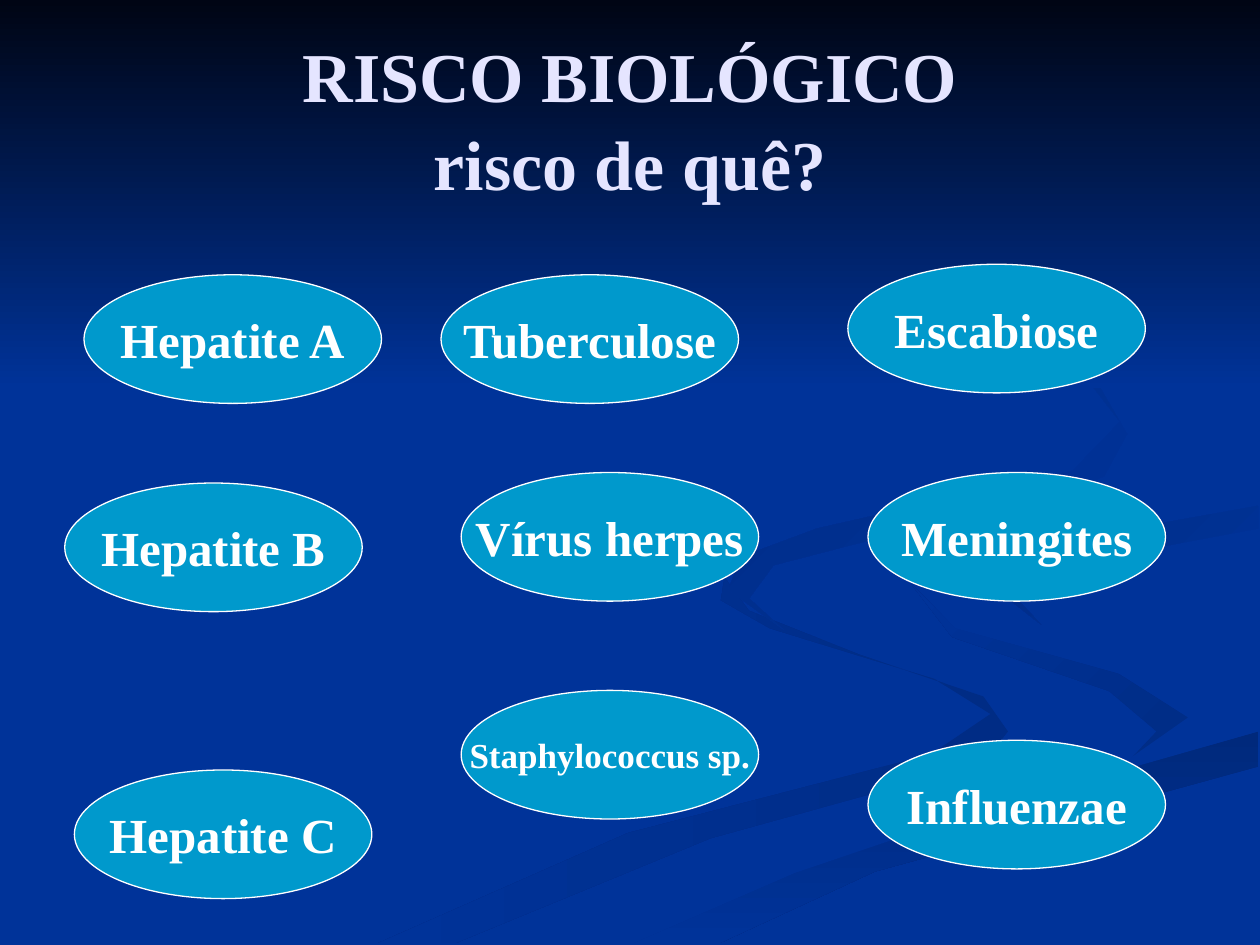
"""Build the slide that asks what biological risk is a risk of."""
from pptx import Presentation
from pptx.dml.color import RGBColor
from pptx.enum.shapes import MSO_SHAPE
from pptx.enum.text import MSO_ANCHOR, MSO_AUTO_SIZE, PP_ALIGN
from pptx.util import Pt

BLUE = RGBColor(0x00, 0x33, 0x99)
NIGHT = RGBColor(0x00, 0x05, 0x14)
SHADE = RGBColor(0x00, 0x2C, 0x85)
DEEP_SHADE = RGBColor(0x00, 0x29, 0x7C)
CYAN = RGBColor(0x00, 0x99, 0xCC)
LAVENDER = RGBColor(0xE5, 0xE5, 0xFF)
WHITE = RGBColor(0xFF, 0xFF, 0xFF)
FONT = "Times New Roman"


def write(frame, text, size=28, color=WHITE, wrap=False, spacing=1.0):
    frame.auto_size = MSO_AUTO_SIZE.NONE
    frame.word_wrap = wrap
    frame.vertical_anchor = MSO_ANCHOR.MIDDLE
    paragraph = frame.paragraphs[0]
    paragraph.text = text
    paragraph.alignment = PP_ALIGN.CENTER
    paragraph.line_spacing = spacing
    for span in paragraph.runs:
        span.font.name = FONT
        span.font.size = Pt(size)
        span.font.bold = True
        span.font.color.rgb = color


deck = Presentation()
deck.slide_width, deck.slide_height = Pt(720), Pt(540)
page = deck.slides.add_slide(deck.slide_layouts[5])
page.background.fill.solid()
page.background.fill.fore_color.rgb = BLUE

ribbons = [
    (SHADE, BLUE, 180, [
        (562, 398), (491, 374), (428, 349), (414, 330), (412, 343), (440, 359),
        (534, 388), (566, 408), (532, 431), (359, 476), (216, 539), (260, 539),
        (406, 479), (562, 436), (576, 418)]),
    (SHADE, BLUE, 135, [
        (679, 410), (639, 385), (546, 359), (521, 334), (544, 364), (634, 395),
        (661, 418), (644, 436), (678, 418)]),
    (DEEP_SHADE, BLUE, 270, [
        (362, 539), (411, 539), (500, 498), (719, 438), (719, 418), (550, 466),
        (454, 499)]),
    (BLUE, BLUE, 0, [
        (522, 334), (546, 359), (640, 385), (679, 410), (642, 436), (477, 481),
        (343, 539), (362, 539), (454, 499), (551, 466), (719, 418), (719, 387),
        (611, 362), (562, 333), (592, 312), (719, 289), (719, 279), (554, 307)]),
    (BLUE, SHADE, 135, [
        (562, 331), (595, 357), (580, 341), (607, 323), (719, 302), (719, 289),
        (591, 312)]),
    (BLUE, SHADE, 135, [
        (492, 310), (594, 289), (631, 272), (644, 248), (622, 210), (549, 168),
        (609, 201), (640, 241), (613, 269), (467, 302), (424, 318), (416, 337),
        (448, 360), (428, 342), (442, 323)]),
    (NIGHT, BLUE, 270, [(0, 0), (0, 222), (720, 222), (720, 0)]),
]
for start, end, angle, points in ribbons:
    builder = page.shapes.build_freeform(*points[0], scale=Pt(1))
    builder.add_line_segments(points[1:], close=True)
    ribbon = builder.convert_to_shape()
    ribbon.shadow.inherit = False
    ribbon.line.fill.background()
    ribbon.fill.gradient()
    ribbon.fill.gradient_angle = angle
    for stop, color in zip(ribbon.fill.gradient_stops, (start, end)):
        stop.color.rgb = color

title = page.shapes.title
title.left, title.top, title.width, title.height = Pt(36), Pt(21.6), Pt(648), Pt(90)
write(title.text_frame, "RISCO BIOLÓGICO\vrisco de quê?", size=40, color=LAVENDER,
      wrap=True, spacing=1.05)
page.shapes.element.append(title.element)

diseases = [
    ("Hepatite A", 48, 157),
    ("Hepatite B", 37, 276),
    ("Hepatite C", 42.5, 440),
    ("Tuberculose", 252, 157),
    ("Vírus herpes", 263.5, 270),
    ("Staphylococcus sp.", 263.5, 394.5),
    ("Escabiose", 484.5, 151),
    ("Meningites", 496, 270),
    ("Influenzae", 496, 423),
]
for name, left, top in diseases:
    oval = page.shapes.add_shape(MSO_SHAPE.OVAL, Pt(left), Pt(top), Pt(170), Pt(73.5))
    oval.shadow.inherit = False
    oval.fill.solid()
    oval.fill.fore_color.rgb = CYAN
    oval.line.color.rgb = WHITE
    oval.line.width = Pt(0.75)
    write(oval.text_frame, name, size=20 if len(name) > 12 else 28)

deck.save("out.pptx")
